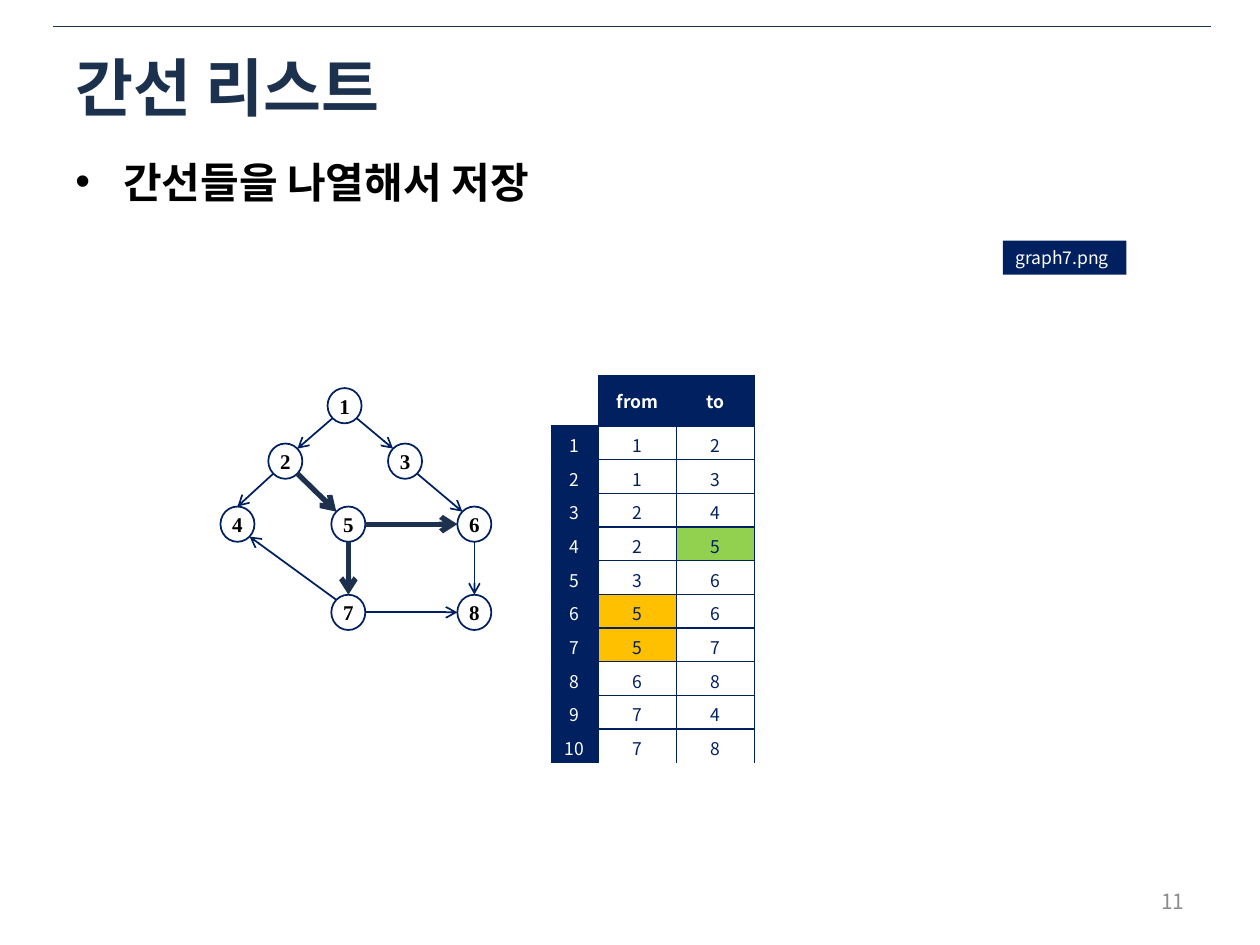
from lxml import etree
from pptx import Presentation
from pptx.dml.color import RGBColor
from pptx.enum.shapes import MSO_CONNECTOR, MSO_SHAPE
from pptx.enum.text import MSO_ANCHOR, MSO_AUTO_SIZE, PP_ALIGN
from pptx.oxml.ns import qn
from pptx.util import Inches, Pt

LEFT, CENTER, RIGHT = PP_ALIGN.LEFT, PP_ALIGN.CENTER, PP_ALIGN.RIGHT
TOP, MIDDLE = MSO_ANCHOR.TOP, MSO_ANCHOR.MIDDLE
STRAIGHT = MSO_CONNECTOR.STRAIGHT

NAVY = RGBColor(0x00, 0x20, 0x60)
INK = RGBColor(0x1C, 0x31, 0x4E)
PATH_INK = RGBColor(0x1D, 0x31, 0x4E)
GRAY = RGBColor(0x8C, 0x8C, 0x8C)
BLACK = RGBColor(0x00, 0x00, 0x00)
WHITE = RGBColor(0xFF, 0xFF, 0xFF)
GREEN = RGBColor(0x92, 0xD0, 0x50)
AMBER = RGBColor(0xFF, 0xC0, 0x00)

SANS, SERIF = "Noto Sans CJK KR", "Times New Roman"

# Graph: left and top of each node, then edges in list order
NODE_WIDTH, NODE_HEIGHT = 0.27, 0.28
NODES = {1: (2.6, 3.08), 2: (2.13, 3.52), 3: (3.08, 3.52), 4: (1.75, 4.02),
         5: (2.63, 4.02), 6: (3.63, 4.02), 7: (2.63, 4.72), 8: (3.63, 4.72)}
EDGES = [(1, 2), (1, 3), (2, 4), (2, 5), (3, 6),
         (5, 6), (5, 7), (6, 8), (7, 4), (7, 8)]
BOLD_EDGES = {(2, 5), (5, 6), (5, 7)}
EDGE_SITES = {(1, 2): ("SW", "NE"), (2, 4): ("SW", "N"), (5, 6): ("E", "W"),
              (5, 7): ("S", "N"), (6, 8): ("S", "N"), (7, 4): ("NW", "SE"),
              (7, 8): ("E", "W")}
DEFAULT_SITES = ("SE", "NW")

# Table cells (row, column) picked out in colour
HIGHLIGHTS = {(4, 2): GREEN, (6, 1): AMBER, (7, 1): AMBER}


def write_text(frame, text, size, color, font=SANS, bold=False,
               align=LEFT, anchor=TOP, wrap=True):
    frame.word_wrap = wrap
    frame.vertical_anchor = anchor
    para = frame.paragraphs[0]
    para.alignment = align
    span = para.add_run()
    span.text = text
    span.font.color.rgb = color
    for name, value in {"size": Pt(size), "name": font, "bold": bold}.items():
        setattr(span.font, name, value)
    east_asian = etree.SubElement(span.font._element, qn("a:ea"))
    east_asian.set("typeface", font)
    return para


def add_text(page, place, text, size, color, **style):
    box = page.shapes.add_textbox(*map(Inches, place))
    return write_text(box.text_frame, text, size, color, **style)


def add_bullet(para, indent):
    props = para._p.get_or_add_pPr()
    props.set("marL", str(Inches(indent)))
    props.set("indent", str(-Inches(indent)))
    etree.SubElement(props, qn("a:buFont")).set("typeface", "Arial")
    etree.SubElement(props, qn("a:buChar")).set("char", "•")


def add_line(shapes, start, end, color, width, arrow=False):
    line = shapes.add_connector(STRAIGHT, *map(Inches, (*start, *end)))
    line.line.color.rgb = color
    line.line.width = Pt(width)
    if arrow:
        outline = line.line._get_or_add_ln()
        etree.SubElement(outline, qn("a:tailEnd")).set("type", "arrow")
    etree.SubElement(line._element.spPr, qn("a:effectLst"))


def add_label(page, place, text):
    label = page.shapes.add_shape(MSO_SHAPE.RECTANGLE, *map(Inches, place))
    label.shadow.inherit = False
    label.fill.solid()
    label.fill.fore_color.rgb = NAVY
    label.line.fill.background()
    write_text(label.text_frame, text, 10, WHITE, wrap=False)
    label.text_frame.auto_size = MSO_AUTO_SIZE.SHAPE_TO_FIT_TEXT


def add_node(shapes, number):
    place = (*NODES[number], NODE_WIDTH, NODE_HEIGHT)
    node = shapes.add_shape(MSO_SHAPE.OVAL, *map(Inches, place))
    node.shadow.inherit = False
    node.fill.background()
    node.line.color.rgb = NAVY
    node.line.width = Pt(1)
    frame = node.text_frame
    frame.margin_left = frame.margin_right = 0
    write_text(frame, str(number), 12, BLACK, font=SERIF, bold=True,
               align=CENTER, anchor=MIDDLE)


def node_site(number, direction):
    """Point on the node's outline in a compass direction."""
    left, top = NODES[number]
    across = ("E" in direction) - ("W" in direction)
    down = ("S" in direction) - ("N" in direction)
    reach = 0.5 if len(direction) == 1 else 0.5 ** 1.5
    return (left + NODE_WIDTH * (0.5 + across * reach),
            top + NODE_HEIGHT * (0.5 + down * reach))


def add_graph(page):
    shapes = page.shapes.add_group_shape().shapes
    for number in NODES:
        add_node(shapes, number)
    for edge in EDGES:
        start, end = map(node_site, edge, EDGE_SITES.get(edge, DEFAULT_SITES))
        color, width = (PATH_INK, 3) if edge in BOLD_EDGES else (NAVY, 1)
        add_line(shapes, start, end, color, width, arrow=True)


def set_borders(cell, sides):
    props = cell._tc.get_or_add_tcPr()
    for side in "LRTB":
        border = etree.SubElement(props, qn(f"a:ln{side}"), w=str(Pt(1)))
        if side in sides:
            fill = etree.SubElement(border, qn("a:solidFill"))
            etree.SubElement(fill, qn("a:srgbClr")).set("val", str(NAVY))
        else:
            etree.SubElement(border, qn("a:noFill"))


def add_edge_table(page):
    rows = [("", "from", "to")]
    rows += [(index, *edge) for index, edge in enumerate(EDGES, 1)]
    place = map(Inches, (4.37, 2.98, 1.62, 2.93))
    holder = page.shapes.add_table(len(rows), 3, *place)
    table = holder.table
    for column, width in zip(table.columns, (0.38, 0.62, 0.62)):
        column.width = Inches(width)
    for r, values in enumerate(rows):
        table.rows[r].height = Inches(0.22)
        for c, value in enumerate(values):
            cell = table.cell(r, c)
            # The outer top, left and bottom edges stay open
            sides = "R" + "L" * (c > 0) + "T" * (r > 0)
            sides += "B" * (r < len(rows) - 1)
            set_borders(cell, sides)
            heading = r == 0 or c == 0
            fill = NAVY if heading else HIGHLIGHTS.get((r, c))
            if fill is None or value == "":
                cell.fill.background()
            else:
                cell.fill.solid()
                cell.fill.fore_color.rgb = fill
            cell.vertical_anchor = MIDDLE
            write_text(cell.text_frame, str(value), 10,
                       WHITE if heading else NAVY, bold=r == 0,
                       align=CENTER, anchor=None, wrap=None)


def main():
    deck = Presentation()
    deck.slide_width, deck.slide_height = Inches(10), Inches(7.5)
    page = deck.slides.add_slide(deck.slide_layouts[5])

    # Top rule and title
    add_line(page.shapes, (0.42, 0.21), (9.61, 0.21), INK, 0.25)
    title = page.shapes.title
    frame = {"left": 0.5, "top": 0.35, "width": 9, "height": 0.67}
    for name, value in frame.items():
        setattr(title, name, Inches(value))
    write_text(title.text_frame, "간선 리스트", 36, INK, bold=True, anchor=MIDDLE)

    # Bullet
    para = add_text(page, (0.5, 1.19, 9, 0.69), "간선들을 나열해서 저장",
                    24, BLACK, bold=True)
    add_bullet(para, 0.38)

    # Edge list, file label and graph
    add_edge_table(page)
    add_label(page, (7.96, 1.91, 0.98, 0.27), "graph7.png")
    add_graph(page)

    # Page number
    add_text(page, (7.17, 6.95, 2.33, 0.4), "11", 12, GRAY,
             align=RIGHT, anchor=MIDDLE)
    deck.save("out.pptx")


if __name__ == "__main__":
    main()
